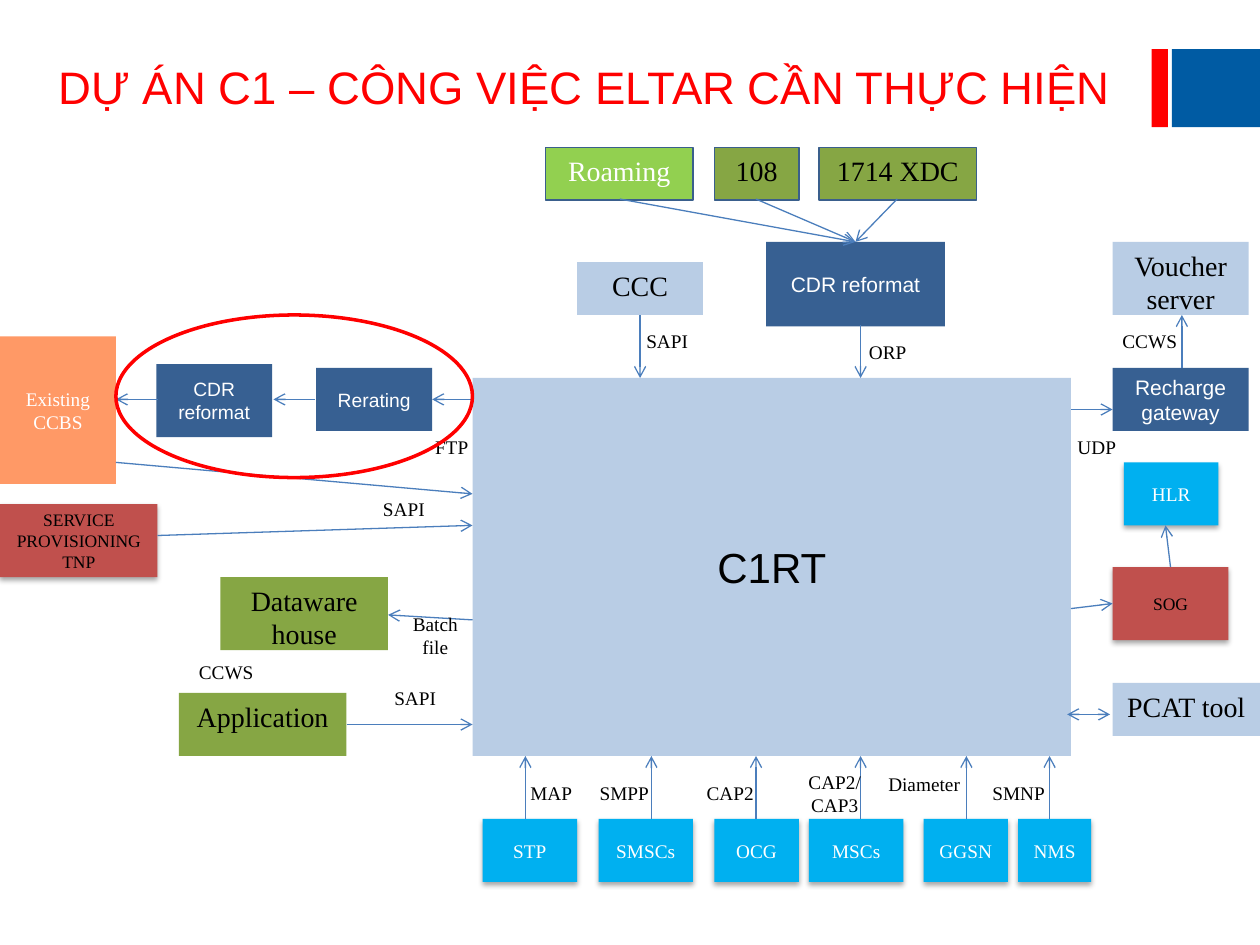
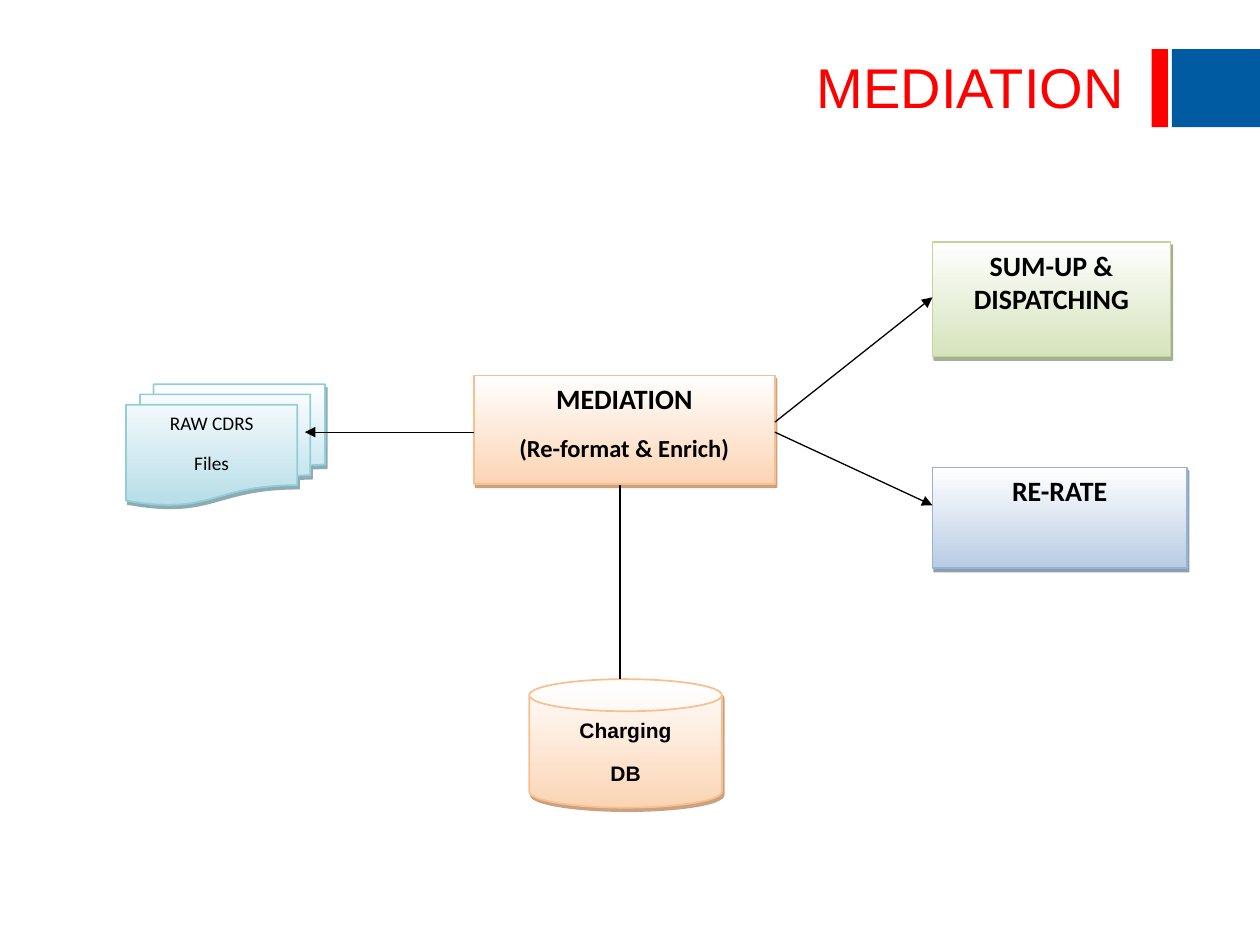
from lxml.etree import SubElement
from pptx import Presentation
from pptx.dml.color import RGBColor
from pptx.enum.shapes import MSO_CONNECTOR, MSO_SHAPE
from pptx.enum.text import MSO_ANCHOR, MSO_AUTO_SIZE, PP_ALIGN
from pptx.oxml.ns import qn
from pptx.util import Inches, Pt

RED = RGBColor(0xFF, 0x00, 0x00)
BAND_BLUE = RGBColor(0x00, 0x5B, 0xA3)
WHITE = RGBColor(0xFF, 0xFF, 0xFF)
BLACK = RGBColor(0x00, 0x00, 0x00)
ORANGE = RGBColor(0xFF, 0x99, 0x66)
BRICK = RGBColor(0xC0, 0x50, 0x4D)
CYAN = RGBColor(0x00, 0xB0, 0xF0)
NAVY = RGBColor(0x37, 0x60, 0x92)
PALE_BLUE = RGBColor(0xB9, 0xCD, 0xE5)
OLIVE = RGBColor(0x86, 0xA6, 0x44)
LIME = RGBColor(0x92, 0xD0, 0x50)
OUTLINE = RGBColor(0x3A, 0x5F, 0x8C)
LINK_BLUE = RGBColor(0x4B, 0x7E, 0xBC)

SANS, SERIF, CALIBRI = "Arial", "Times New Roman", "Calibri"
TOP, MIDDLE = MSO_ANCHOR.TOP, MSO_ANCHOR.MIDDLE

# Colour, opacity %, blur pt, distance pt, angle
SOFT_SHADOW = (BLACK, 35, 3.1, 1.8, 90)

# Fill, outline, shadow, font, text colour, anchor
STYLES = {
    "billing": (ORANGE, None, None, SERIF, WHITE, MIDDLE),
    "provisioning": (BRICK, None, SOFT_SHADOW, SERIF, BLACK, MIDDLE),
    "network": (CYAN, None, SOFT_SHADOW, SERIF, WHITE, MIDDLE),
    "task": (NAVY, None, None, SANS, WHITE, MIDDLE),
    "core": (PALE_BLUE, None, None, SANS, BLACK, MIDDLE),
    "service": (PALE_BLUE, None, None, SERIF, BLACK, TOP),
    "consumer": (OLIVE, None, None, SERIF, BLACK, TOP),
    "feed": (OLIVE, OUTLINE, None, SERIF, BLACK, TOP),
    "roaming": (LIME, OUTLINE, None, SERIF, WHITE, TOP),
}

# Style, text, font size, (left, top, width, height)
SYSTEMS = [
    ("billing", "Existing CCBS", 11, (0, 2.67, 0.92, 1.17)),
    ("provisioning", "SERVICE PROVISIONING\nTNP", 10, (0, 4, 1.25, 0.58)),
    ("task", "Rerating", 11, (2.51, 2.92, 0.92, 0.5)),
    ("task", "CDR reformat", 11, (1.24, 2.89, 0.92, 0.58)),
    ("core", "C1RT", 24, (3.75, 3, 4.75, 3)),
    ("task", "Recharge gateway", 12, (8.83, 2.92, 1.08, 0.5)),
    ("service", "Voucher server", 16, (8.83, 1.92, 1.08, 0.58)),
    ("task", "CDR reformat", 12, (6.08, 1.92, 1.42, 0.67)),
    ("roaming", "Roaming", 16, (4.33, 1.17, 1.17, 0.42)),
    ("feed", "108", 16, (5.67, 1.17, 0.67, 0.42)),
    ("feed", "1714 XDC", 16, (6.5, 1.17, 1.25, 0.42)),
    ("consumer", "Application", 16, (1.42, 5.5, 1.33, 0.5)),
    ("consumer", "Dataware house", 16, (1.75, 4.58, 1.33, 0.58)),
    ("provisioning", "SOG", 10, (8.83, 4.5, 0.92, 0.58)),
    ("service", "CCC", 16, (4.58, 2.08, 1, 0.42)),
    ("service", "PCAT tool", 16, (8.83, 5.42, 1.17, 0.42)),
    ("network", "HLR", 11, (8.92, 3.67, 0.75, 0.5)),
]

# Name, left, width, arrow x
NETWORK_ELEMENTS = [
    ("STP", 3.83, 0.75, 4.17),
    ("SMSCs", 4.75, 0.75, 5.17),
    ("OCG", 5.67, 0.67, 6),
    ("MSCs", 6.42, 0.75, 6.83),
    ("GGSN", 7.33, 0.67, 7.67),
    ("NMS", 8.08, 0.58, 8.33),
]
NETWORK_TOP, NETWORK_HEIGHT, CORE_BOTTOM = 6.5, 0.5, 6

LINKS = [
    ((4.92, 1.58), (6.79, 1.92)),
    ((6, 1.58), (6.79, 1.92)),
    ((7.12, 1.58), (6.79, 1.92)),
    ((3.76, 3.17), (3.43, 3.17)),
    ((2.5, 3.17), (2.17, 3.17)),
    ((1.25, 3.17), (0.92, 3.17)),
    ((1.25, 4.25), (3.75, 4.17)),
    ((0.92, 3.67), (3.75, 3.92)),
    ((3.75, 4.92), (3.08, 4.88)),
    ((8.5, 3.25), (8.83, 3.25)),
    ((9.38, 2.92), (9.38, 2.5)),
    ((8.5, 4.83), (8.83, 4.79)),
    ((5.08, 2.5), (5.08, 3)),
    ((6.83, 2.58), (6.83, 3)),
    ((2.75, 5.75), (3.75, 5.75)),
    ((9.29, 4.5), (9.25, 4.17)),
]
TWO_WAY_LINK = ((8.47, 5.67), (8.81, 5.67))

PROTOCOLS = [
    ("ORP", (6.67, 2.42, 0.75, 0.75)),
    ("SAPI", (2.83, 3.75, 0.75, 0.58)),
    ("FTP", (3.21, 3.26, 0.75, 0.58)),
    ("MAP", (4, 5.92, 0.75, 0.75)),
    ("SMPP", (4.58, 5.92, 0.75, 0.75)),
    ("CAP2", (5.42, 5.92, 0.75, 0.75)),
    ("CAP2/\nCAP3", (6.25, 5.92, 0.75, 0.75)),
    ("Diameter", (6.92, 5.97, 0.83, 0.5)),
    ("SMNP", (7.67, 5.92, 0.83, 0.75)),
    ("SAPI", (4.92, 2.33, 0.75, 0.75)),
    ("UDP", (8.33, 3.17, 0.75, 0.75)),
    ("CCWS", (8.75, 2.33, 0.75, 0.75)),
    ("SAPI", (2.92, 5.25, 0.75, 0.58)),
    ("Batch file", (3.08, 4.75, 0.75, 0.58)),
    ("CCWS", (1.42, 5.08, 0.75, 0.5)),
]
SCOPE_ELLIPSE = (0.92, 2.5, 2.83, 1.29)

# Gradient end, outline, shadow colour
PEACH = (RGBColor(0xFB, 0xD4, 0xB4), RGBColor(0xFA, 0xBF, 0x8F), RGBColor(0x97, 0x47, 0x06))
AQUA = (RGBColor(0xB6, 0xDD, 0xE8), RGBColor(0x92, 0xCD, 0xDC), RGBColor(0x20, 0x58, 0x67))
GREEN = (RGBColor(0xD6, 0xE3, 0xBC), RGBColor(0xC2, 0xD6, 0x9B), RGBColor(0x4E, 0x61, 0x28))
BLUE = (RGBColor(0xB8, 0xCC, 0xE4), RGBColor(0x95, 0xB3, 0xD7), RGBColor(0x24, 0x3F, 0x60))

# Preset, palette, text, size per paragraph, font, bold, place
MEDIATION_STEPS = [
    (MSO_SHAPE.RECTANGLE, PEACH, "MEDIATION\n(Re-format & Enrich)", (16, 14), CALIBRI, True,
     (3.76, 2.98, 2.39, 0.86)),
    (MSO_SHAPE.FLOWCHART_MULTIDOCUMENT, AQUA, "RAW CDRS\nFiles", (11, 11), CALIBRI, False,
     (1, 3.05, 1.58, 0.96)),
    (MSO_SHAPE.RECTANGLE, GREEN, "SUM-UP & DISPATCHING", (16,), CALIBRI, True,
     (7.4, 1.92, 1.89, 0.91)),
    (MSO_SHAPE.RECTANGLE, BLUE, "RE-RATE", (16,), CALIBRI, True, (7.4, 3.71, 2.02, 0.8)),
    (MSO_SHAPE.CAN, PEACH, "Charging\nDB", (12, 12), SANS, True, (4.2, 5.39, 1.53, 1.02)),
]
MEDIATION_ARROWS = [
    ((3.76, 3.43), (2.42, 3.43)),
    ((6.15, 3.35), (7.4, 2.36)),
    ((6.15, 3.43), (7.4, 4.01)),
]
DATABASE_LINE = ((4.92, 3.85), (4.92, 5.39))

TITLE_PLACE = (0.17, 0.3, 8.85, 0.77)
BANDS = [(RED, (9.14, 0.39, 0.13, 0.62)), (BAND_BLUE, (9.3, 0.39, 0.7, 0.62))]


def inches(place):
    return [Inches(value) for value in place]


def write(text_frame, text, sizes, font, color, anchor, bold=False,
          align=PP_ALIGN.CENTER, space_after=0):
    """Fill the frame; sizes holds one font size for each paragraph."""
    text_frame.text = text
    text_frame.word_wrap = True
    text_frame.vertical_anchor = anchor
    for paragraph, size in zip(text_frame.paragraphs, sizes):
        paragraph.alignment = align
        paragraph.space_after = Pt(space_after)
        for run in paragraph.runs:
            run.font.size = Pt(size)
            run.font.name = font
            run.font.bold = bold
            run.font.color.rgb = color


def add_shadow(shape, color, opacity, blur, distance, angle):
    effects = shape.element.spPr.find(qn("a:effectLst"))
    shadow = SubElement(effects, qn("a:outerShdw"), blurRad=str(Pt(blur)), dist=str(Pt(distance)),
                        dir=str(angle * 60000), algn="ctr", rotWithShape="0")
    shadow_color = SubElement(shadow, qn("a:srgbClr"), val=str(color))
    SubElement(shadow_color, qn("a:alpha"), val=str(opacity * 1000))


def add_shape(slide, place, fill=None, outline=None, shadow=None,
              preset=MSO_SHAPE.RECTANGLE, outline_width=1, gradient=False):
    """Add a preset shape; a gradient runs from white down to the fill colour."""
    shape = slide.shapes.add_shape(preset, *inches(place))
    if fill is None:
        shape.fill.background()
    elif gradient:
        shape.fill.gradient()
        shape.fill.gradient_angle = 270
        for stop, color in zip(shape.fill.gradient_stops, (WHITE, fill)):
            stop.color.rgb = color
    else:
        shape.fill.solid()
        shape.fill.fore_color.rgb = fill
    if outline is None:
        shape.line.fill.background()
    else:
        shape.line.color.rgb = outline
        shape.line.width = Pt(outline_width)
    shape.shadow.inherit = False
    if shadow:
        add_shadow(shape, *shadow)
    return shape


def add_link(slide, start, end, color=LINK_BLUE, tail="arrow", head=None):
    connector = slide.shapes.add_connector(MSO_CONNECTOR.STRAIGHT, *inches(start + end))
    connector.line.color.rgb = color
    connector.line.width = Pt(0.75)
    properties = connector.element.spPr
    line = properties.find(qn("a:ln"))
    for tag, arrow in (("a:headEnd", head), ("a:tailEnd", tail)):
        if arrow:
            SubElement(line, qn(tag), type=arrow)
    SubElement(properties, qn("a:effectLst"))


def add_system(slide, style, text, size, place):
    fill, outline, shadow, font, color, anchor = STYLES[style]
    shape = add_shape(slide, place, fill, outline, shadow)
    write(shape.text_frame, text, [size] * (text.count("\n") + 1), font, color, anchor)


def prepare_layout(presentation):
    """Put the title in place on the layout both slides use."""
    layout = presentation.slide_layouts.get_by_name("Title Only")
    title = layout.placeholders[0]
    title.left, title.top, title.width, title.height = inches(TITLE_PLACE)
    return layout


def add_bands(slide, layout):
    """Draw the bands and move them from the slide to its layout."""
    for color, place in BANDS:
        layout.shapes.element.append(add_shape(slide, place, color).element)


def add_title(slide, text, size, margin_right=0.1):
    text_frame = slide.shapes.title.text_frame
    write(text_frame, text, [size], SANS, RED, MIDDLE, align=PP_ALIGN.RIGHT)
    text_frame.auto_size = MSO_AUTO_SIZE.NONE
    text_frame.margin_left = 0
    text_frame.margin_right = Inches(margin_right)


def build_project_slide(slide):
    add_title(slide, "DỰ ÁN C1 – CÔNG VIỆC ELTAR CẦN THỰC HIỆN", 26, margin_right=0.2)
    for system in SYSTEMS:
        add_system(slide, *system)
    for name, left, width, arrow_x in NETWORK_ELEMENTS:
        add_system(slide, "network", name, 11, (left, NETWORK_TOP, width, NETWORK_HEIGHT))
        add_link(slide, (arrow_x, NETWORK_TOP), (arrow_x, CORE_BOTTOM))
    for start, end in LINKS:
        add_link(slide, start, end)
    add_link(slide, *TWO_WAY_LINK, head="arrow")
    for text, place in PROTOCOLS:
        label = slide.shapes.add_textbox(*inches(place))
        write(label.text_frame, text, (11, 11), SERIF, BLACK, MIDDLE)
    add_shape(slide, SCOPE_ELLIPSE, outline=RED, preset=MSO_SHAPE.OVAL, outline_width=2)


def build_mediation_slide(slide):
    add_title(slide, "MEDIATION", 32)
    for preset, palette, text, sizes, font, bold, place in MEDIATION_STEPS:
        fill, outline, shadow_color = palette
        shape = add_shape(slide, place, fill, outline, (shadow_color, 50, 0, 2.2, 63),
                          preset, gradient=True)
        write(shape.text_frame, text, sizes, font, BLACK, TOP, bold, space_after=10)
    for start, end in MEDIATION_ARROWS:
        add_link(slide, start, end, BLACK, "triangle")
    add_link(slide, *DATABASE_LINE, color=BLACK, tail=None)


def main():
    presentation = Presentation()
    presentation.slide_width, presentation.slide_height = Inches(10), Inches(7.5)
    layout = prepare_layout(presentation)
    project_slide = presentation.slides.add_slide(layout)
    add_bands(project_slide, layout)
    build_project_slide(project_slide)
    build_mediation_slide(presentation.slides.add_slide(layout))
    presentation.save("out.pptx")


if __name__ == "__main__":
    main()
